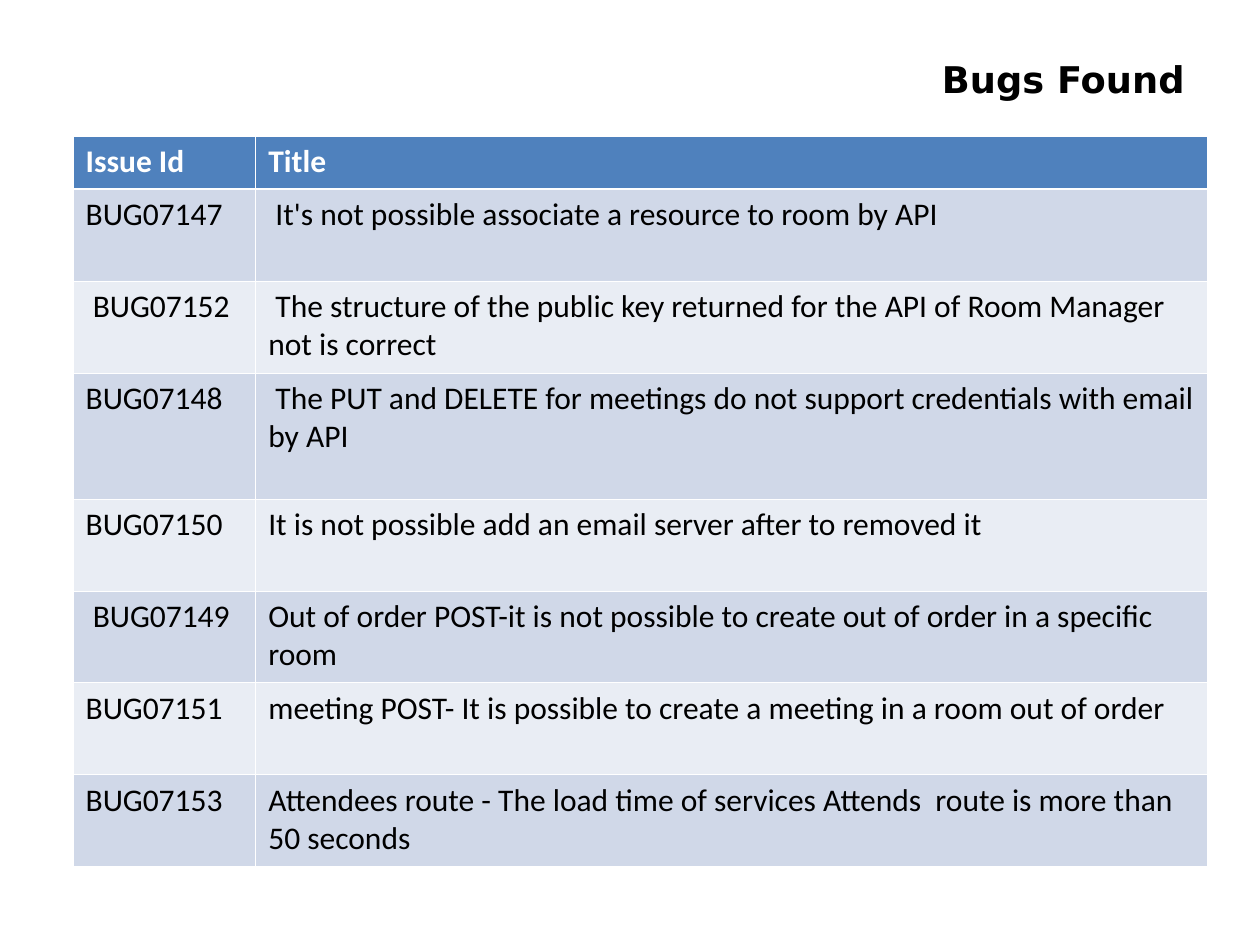
"""Build the slide that lists the bugs found."""
from dataclasses import dataclass

from lxml import etree
from pptx import Presentation, util as u
from pptx.dml.color import RGBColor
from pptx.enum import text as t
from pptx.oxml import ns

BLACK = RGBColor(0x00, 0x00, 0x00)
WHITE = RGBColor(0xFF, 0xFF, 0xFF)
BLUE = RGBColor(0x4F, 0x81, 0xBD)
BANDS = (RGBColor(0xE9, 0xED, 0xF4), RGBColor(0xD0, 0xD8, 0xE8))

TITLE = {"name": "DejaVu Sans", "size": u.Pt(21), "bold": True}
HEAD = {"name": "Calibri", "size": u.Pt(18), "bold": True}
BODY = {**HEAD, "bold": False}
THIN, THICK = u.Pt(0.45), u.Pt(1.47)
WIDTHS = (1.45, 7.55)


@dataclass
class Bug:
    code: str
    title: str
    height: float = 0.73


BUGS = [
    Bug("BUG07147", " It's not possible associate a resource to room by API"),
    Bug(" BUG07152", " The structure of the public key returned for the API of Room Manager not is correct"),
    Bug("BUG07148", " The PUT and DELETE for meetings do not support credentials with email by API", 1),
    Bug("BUG07150", "It is not possible add an email server after to removed it"),
    Bug(" BUG07149", "Out of order POST-it is not possible to create out of order in a specific room"),
    Bug("BUG07151", "meeting POST- It is possible to create a meeting in a room out of order"),
    Bug("BUG07153", "Attendees route - The load time of services Attends  route is more than 50 seconds"),
]


def write(frame, words: str, style: dict, color: RGBColor) -> None:
    run = frame.paragraphs[0].add_run()
    run.text = words
    run.font.color.rgb = color
    for key, value in style.items():
        setattr(run.font, key, value)


def edge(cell, row: int) -> None:
    props = cell._tc.get_or_add_tcPr()
    thick = {0: "B", 1: "T"}.get(row)
    for spot, side in enumerate("LRTB"):
        line = etree.Element(ns.qn(f"a:ln{side}"), w=str(THICK if side == thick else THIN))
        fill = etree.SubElement(line, ns.qn("a:solidFill"))
        etree.SubElement(fill, ns.qn("a:srgbClr"), val=str(WHITE))
        props.insert(spot, line)


def add_title(slide, words: str) -> None:
    box = slide.shapes.add_textbox(u.Inches(0.5), u.Inches(0), u.Inches(9), u.Inches(1.25))
    frame = box.text_frame
    for key, value in {"word_wrap": True, "vertical_anchor": t.MSO_ANCHOR.MIDDLE}.items():
        setattr(frame, key, value)
    write(frame, words, TITLE, BLACK)
    frame.paragraphs[0].alignment = t.PP_ALIGN.RIGHT


def add_bugs(slide, bugs: list[Bug]) -> None:
    rows = [Bug("Issue Id", "Title", 0.42), *bugs]
    tall = sum(bug.height for bug in rows)
    grid = slide.shapes.add_table(
        len(rows), len(WIDTHS), u.Inches(0.58), u.Inches(1.08),
        u.Inches(sum(WIDTHS)), u.Inches(tall)).table
    for column, width in zip(grid.columns, WIDTHS):
        column.width = u.Inches(width)
    for index, bug in enumerate(rows):
        grid.rows[index].height = u.Inches(bug.height)
        style, ink, fill = (BODY, BLACK, BANDS[index % 2]) if index else (HEAD, WHITE, BLUE)
        for cell, words in zip(grid.rows[index].cells, (bug.code, bug.title)):
            cell.fill.solid()
            cell.fill.fore_color.rgb = fill
            edge(cell, index)
            write(cell.text_frame, words, style, ink)


def main() -> None:
    deck = Presentation()
    deck.slide_width, deck.slide_height = u.Inches(10), u.Inches(7.5)
    slide = deck.slides.add_slide(deck.slide_layouts[6])
    add_title(slide, "Bugs Found")
    add_bugs(slide, BUGS)
    deck.save("out.pptx")


if __name__ == "__main__":
    main()
